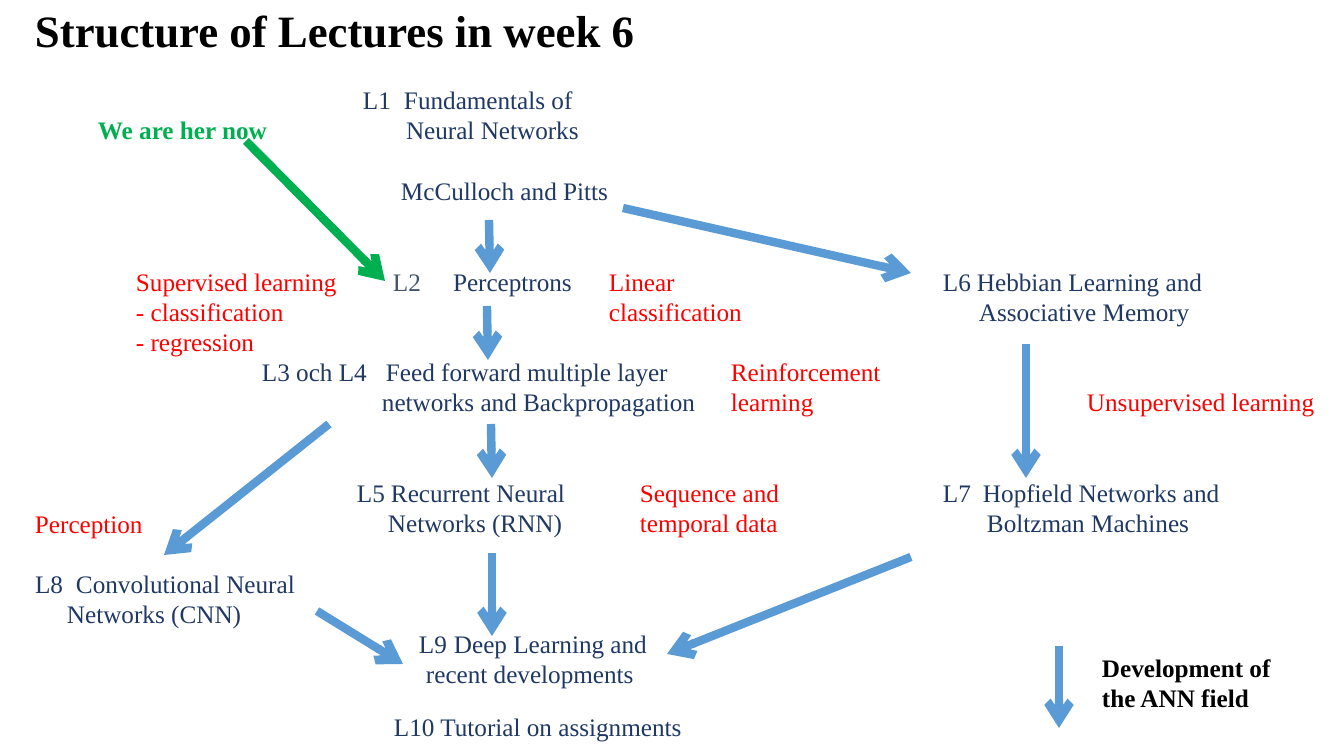
from lxml.etree import SubElement
from pptx import Presentation
from pptx.dml.color import RGBColor
from pptx.enum.shapes import MSO_CONNECTOR
from pptx.oxml.ns import qn
from pptx.util import Emu, Pt

FONT = "Times New Roman"
NAVY, SLATE, RED = "203864", "44546A", "FF0000"
GREEN, BLUE, BLACK = "00B050", "5B9BD5", "000000"
FIRST_ROW, ROW_PITCH = 84, 30.25

# left, row, number, its colour, title offset, second line offset, title lines
LECTURES = [
    (363, 0, "L1", NAVY, 41, 43, ["Fundamentals of", "Neural Networks"]),
    (393, 6, "L2", SLATE, 60, 0, ["Perceptrons"]),
    (262, 9, "L3 och L4", NAVY, 124, 120,
     ["Feed forward multiple layer", "networks and Backpropagation"]),
    (357, 13, "L5", NAVY, 34, 31, ["Recurrent Neural", "Networks (RNN)"]),
    (943, 6, "L6", NAVY, 34, 36, ["Hebbian Learning and", "Associative Memory"]),
    (943, 13, "L7", NAVY, 40, 44, ["Hopfield Networks and", "Boltzman Machines"]),
    (35, 16, "L8", NAVY, 41, 32, ["Convolutional Neural", "Networks (CNN)"]),
    (419, 18, "L9", NAVY, 35, 7, ["Deep Learning and", "recent developments"]),
]

# left, row, colour, lines
TOPICS = [
    (401, 3, NAVY, ["McCulloch and Pitts"]),
    (136, 6, RED, ["Supervised learning", "- classification", "- regression"]),
    (609, 6, RED, ["Linear", "classification"]),
    (731, 9, RED, ["Reinforcement", "learning"]),
    (1087, 10, RED, ["Unsupervised learning"]),
    (640, 13, RED, ["Sequence and", "temporal data"]),
    (35, 14, RED, ["Perception"]),
]

# start x, start y, end x, end y
DEVELOPMENT = [
    (489, 220, 490, 273),
    (487, 306, 488, 360),
    (491, 424, 492, 478),
    (492, 553, 492, 636),
    (329, 424, 164, 555),
    (623, 208, 911, 273),
    (317, 611, 403, 664),
    (911, 557, 667, 654),
    (1026, 344, 1026, 478),
]


def px(length):
    return Emu(round(length * 914400 / 100.8))


def rgb(value):
    return RGBColor.from_string(value)


def row_top(row):
    return round(FIRST_ROW + row * ROW_PITCH)


def add_span(para, text, color, size=18, bold=False):
    span = para.add_run()
    span.text = text
    font = span.font
    font.name, font.size, font.bold = FONT, Pt(size), bold
    font.color.rgb = rgb(color)


def add_paras(page, left, top, count, width=330, pitch=30):
    """Add an unpadded text box and return its empty paragraphs."""
    box = page.shapes.add_textbox(px(left), px(top), px(width), px(count * pitch))
    frame = box.text_frame
    frame.word_wrap = True
    frame.margin_left = frame.margin_right = 0
    frame.margin_top = frame.margin_bottom = 0
    paras = [frame.paragraphs[0]]
    paras += [frame.add_paragraph() for _ in range(count - 1)]
    if count > 1:
        for para in paras:
            para.line_spacing = Pt(21.6)
    return paras


def add_label(page, left, top, color, lines, width=330, size=18, bold=False):
    paras = add_paras(page, left, top, len(lines), width, round(size * 1.67))
    for para, line in zip(paras, lines):
        add_span(para, line, color, size, bold)


def add_lecture(page, left, row, number, number_color, title_offset, next_offset, lines):
    """Place a lecture number, its title at a tab stop and an indented second line."""
    first, *others = add_paras(page, left, row_top(row), len(lines), title_offset + 320)
    tabs = SubElement(first._p.get_or_add_pPr(), qn("a:tabLst"))
    SubElement(tabs, qn("a:tab"), pos=str(px(title_offset)), algn="l")
    add_span(first, number, number_color)
    add_span(first, "\t" + lines[0], NAVY)
    for para, line in zip(others, lines[1:]):
        para._p.get_or_add_pPr().set("marL", str(px(next_offset)))
        add_span(para, line, NAVY)


def add_arrow(page, start_x, start_y, end_x, end_y, color=BLUE):
    arrow = page.shapes.add_connector(
        MSO_CONNECTOR.STRAIGHT, px(start_x), px(start_y), px(end_x), px(end_y))
    arrow.line.color.rgb = rgb(color)
    arrow.line.width = Pt(6)
    SubElement(arrow.line._get_or_add_ln(), qn("a:tailEnd"), type="arrow")
    SubElement(arrow._element.spPr, qn("a:effectLst"))


def add_lecture_map(page):
    for lecture in LECTURES:
        add_lecture(page, *lecture)
    for left, row, color, lines in TOPICS:
        add_label(page, left, row_top(row), color, lines, 250)
    add_label(page, 394, 711, NAVY, ["L10 Tutorial on assignments"])
    for ends in DEVELOPMENT:
        add_arrow(page, *ends)


def add_current_marker(page, left, top):
    add_label(page, left, top, GREEN, ["We are her now"], 200, bold=True)
    add_arrow(page, left + 148, top + 27, left + 287, top + 167, GREEN)


def add_legend(page, left, top):
    add_arrow(page, left, top, left, top + 82)
    add_label(page, left + 43, top + 6, BLACK,
              ["Development of", "the ANN field"], 200, bold=True)


def main():
    deck = Presentation()
    deck.slide_width, deck.slide_height = px(1344), px(756)
    page = deck.slides.add_slide(deck.slide_layouts[6])
    add_label(page, 35, 3, BLACK, ["Structure of Lectures in week 6"], 1250, 32, True)
    add_lecture_map(page)
    add_current_marker(page, 98, row_top(1))
    add_legend(page, 1059, 646)
    deck.save("out.pptx")


if __name__ == "__main__":
    main()
